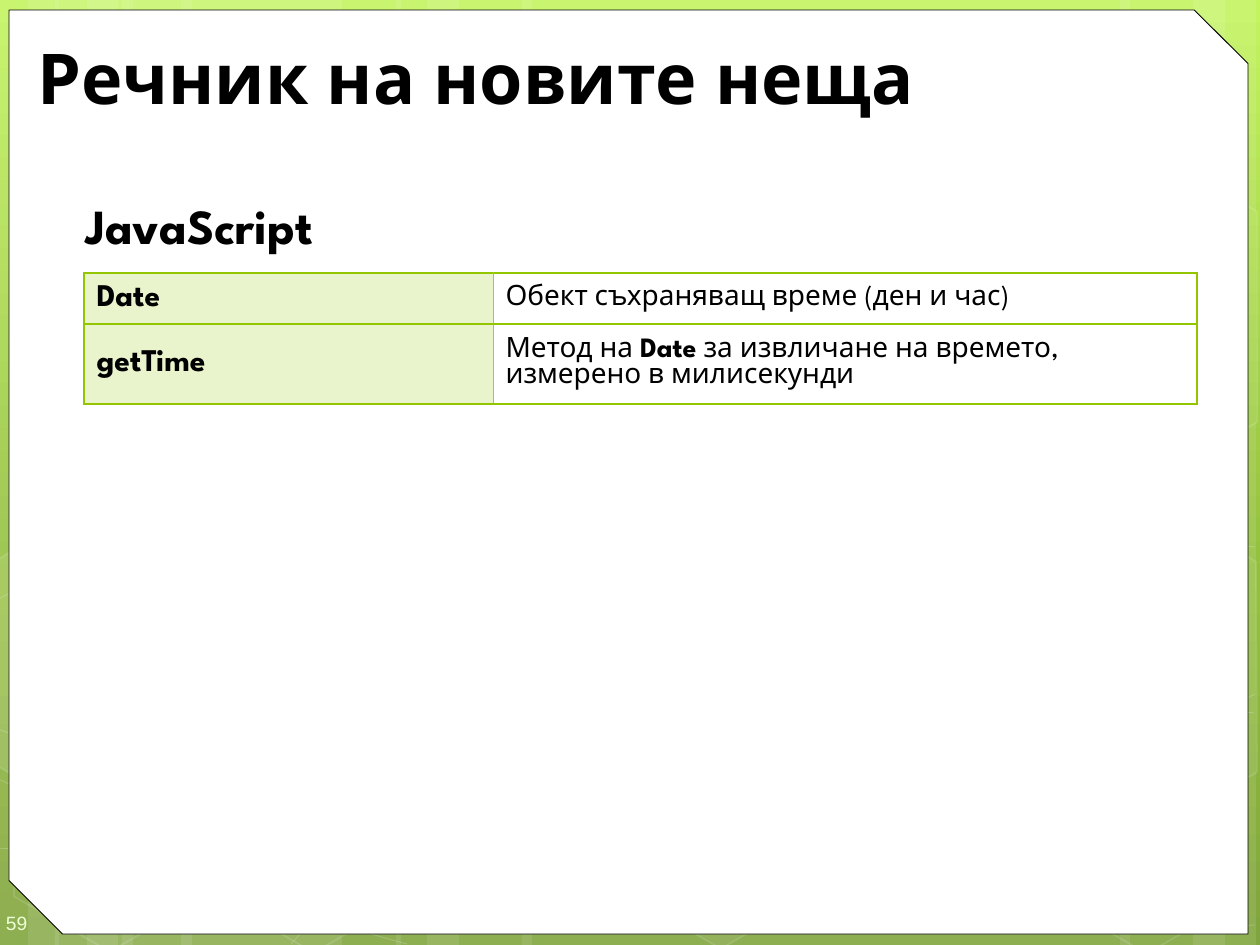
from lxml.etree import SubElement
from copy import deepcopy
from pptx import Presentation
from pptx.dml.color import RGBColor
from pptx.enum.shapes import MSO_SHAPE
from pptx.enum.text import MSO_ANCHOR, PP_ALIGN
from pptx.oxml.ns import qn
from pptx.util import Pt

PX = 914400 / 126
WIDTH, HEIGHT = 1260, 945
WHITE, BLACK, GREEN = "FFFFFF", "000000", "94C600"
FONT = "League Spartan"

BACKDROP = [(0, "C3F35F"), (0.62, "93BF3F"), (1, "81A53E")]
BANDS = [(122, 220), (-4, 63), (28, 105), (181, 220), (55, 63), (87, 105),
         (910, 220), (1193, 63), (1120, 105), (522, 388), (396, 63), (427, 105)]
# Each curve is a start point followed by groups of three Bezier points.
CURVES = [
    [(-5, 848), (63, 852), (131, 856), (226, 854), (320, 853), (436, 850), (563, 838),
     (689, 825), (868, 801), (983, 777), (1102, 753), (1217, 716), (1255, 694)],
    [(-5, 601), (32, 581), (68, 562), (139, 543), (212, 524), (311, 496), (423, 488),
     (536, 479), (672, 478), (810, 488), (949, 498), (1179, 537), (1255, 547)],
    [(-6, 777), (145, 847), (297, 916), (407, 944)],
    [(-5, 728), (34, 742), (74, 756), (147, 776), (220, 795), (330, 827), (435, 848),
     (541, 869), (673, 892), (777, 905), (881, 919), (994, 924), (1060, 927),
     (1126, 932), (1144, 930), (1177, 930), (1208, 929), (1232, 926), (1255, 925)],
    [(291, 944), (314, 919), (336, 893), (367, 871), (397, 848), (440, 823), (474, 805),
     (509, 788), (532, 780), (577, 767), (624, 755), (708, 737), (752, 728),
     (796, 719), (804, 719), (843, 717), (882, 713), (944, 709), (987, 708),
     (1045, 707), (1128, 708), (1186, 708), (1210, 709), (1231, 711), (1254, 713)],
]
# Left, top, fill opacity
HEXAGONS = [(611, 742, 6), (0, 745, None), (204, 746, None), (1037, 747, None)]
# Outline points, fill opacity
CUT_HEXAGONS = [
    ([(-4, 561), (10, 552), (107, 607), (106, 718), (11, 774), (-4, 765)], 10),
    ([(1153, 611), (1247, 556), (1256, 562), (1257, 772), (1249, 777), (1152, 722)], 4),
    ([(1153, 261), (1247, 205), (1257, 212), (1257, 422), (1249, 427), (1152, 372)], None),
]
GLOSSARY = [
    ("Date", [("Обект съхраняващ време (ден и час)", False)]),
    ("getTime", [("Метод на ", False), ("Date", True),
                 (" за извличане на времето, измерено в милисекунди", False)]),
]


def emu(*lengths):
    return [round(length * PX) for length in lengths]


def rgb(color):
    return RGBColor.from_string(color)


def set_alpha(parent, opacity):
    """Make the solid colour inside parent see-through; opacity is in percent."""
    color = parent.find(qn("a:solidFill")).find(qn("a:srgbClr"))
    SubElement(color, qn("a:alpha")).set("val", str(opacity * 1000))


def style_shape(shape, fill=None, opacity=None, line=None, width=1, line_opacity=None):
    shape.shadow.inherit = False
    if fill:
        shape.fill.solid()
        shape.fill.fore_color.rgb = rgb(fill)
        if opacity:
            set_alpha(shape.element.spPr, opacity)
    else:
        shape.fill.background()
    if line:
        shape.line.color.rgb = rgb(line)
        shape.line.width = Pt(width)
        if line_opacity:
            set_alpha(shape.element.spPr.find(qn("a:ln")), line_opacity)
    else:
        shape.line.fill.background()


def add_outline(slide, points, close):
    builder = slide.shapes.build_freeform(*points[0], scale=PX)
    builder.add_line_segments(points[1:], close=close)
    return builder.convert_to_shape()


def add_curve(slide, nodes):
    """Draw an outline through the nodes, then join each three segments into one Bezier."""
    curve = add_outline(slide, nodes, False)
    outline = curve.element.find(".//" + qn("a:path"))
    segments = outline.findall(qn("a:lnTo"))
    for i in range(0, len(segments), 3):
        bezier = SubElement(outline, qn("a:cubicBezTo"))
        for segment in segments[i:i + 3]:
            bezier.append(segment[0])
            outline.remove(segment)
    return curve


def add_backdrop(slide):
    fill = slide.background.fill
    fill.gradient()
    fill.gradient_angle = 270
    stop_list = slide.element.find(".//" + qn("a:gsLst"))
    stop_list.append(deepcopy(stop_list[0]))
    for stop, (position, color) in zip(fill.gradient_stops, BACKDROP):
        stop.position = position
        stop.color.rgb = rgb(color)

    for left, width in BANDS:
        band = slide.shapes.add_shape(MSO_SHAPE.RECTANGLE, *emu(left, 0, width, HEIGHT))
        style_shape(band, WHITE, 10)
    for nodes in CURVES:
        style_shape(add_curve(slide, nodes), line=WHITE, width=0.5, line_opacity=20)
    for left, top, opacity in HEXAGONS:
        hexagon = slide.shapes.add_shape(MSO_SHAPE.HEXAGON, *emu(left, top, 220, 192))
        hexagon.adjustments[0], hexagon.adjustments[1] = 0.285, 1.155
        hexagon.rotation = 30
        style_shape(hexagon, opacity and WHITE, opacity, WHITE, 1, 12)
    for points, opacity in CUT_HEXAGONS:
        style_shape(add_outline(slide, points, True),
                    opacity and WHITE, opacity, WHITE, 1, 12)


def add_panel(slide):
    panel = slide.shapes.add_shape(MSO_SHAPE.SNIP_2_DIAG_RECTANGLE, *emu(9, 10, 1239, 924))
    panel.adjustments[0], panel.adjustments[1] = 0, 0.058
    style_shape(panel, WHITE, line=BLACK, width=0.5)


def write_run(paragraph, text, size, color=BLACK, bold=True, font=FONT):
    run = paragraph.add_run()
    run.text = text
    for name, value in {"size": Pt(size), "bold": bold, "name": font}.items():
        setattr(run.font, name, value)
    run.font.color.rgb = rgb(color)


def add_label(slide, box, text, size, space_before=0, frame_format=None, **style):
    frame = slide.shapes.add_textbox(*emu(*box)).text_frame
    for name, value in {"word_wrap": True, **(frame_format or {})}.items():
        setattr(frame, name, value)
    frame.paragraphs[0].space_before = Pt(space_before)
    write_run(frame.paragraphs[0], text, size, **style)


def place_title(slide, text):
    title = slide.shapes.title
    title.element.getparent().append(title.element)
    for name, value in zip(("left", "top", "width", "height"), emu(25, 32, 1193, 89)):
        setattr(title, name, value)
    title.text_frame.vertical_anchor = MSO_ANCHOR.MIDDLE
    title.text_frame.paragraphs[0].alignment = PP_ALIGN.LEFT
    write_run(title.text_frame.paragraphs[0], text, 40)


def set_borders(cell, borders):
    """Draw cell borders from a dict of side to (colour, points)."""
    properties = cell._tc.get_or_add_tcPr()
    for index, (side, (color, points)) in enumerate(borders.items()):
        line = properties.makeelement(qn(f"a:{side}"), {"w": str(Pt(points))})
        fill = SubElement(line, qn("a:solidFill"))
        SubElement(fill, qn("a:srgbClr")).set("val", color)
        properties.insert(index, line)


def add_glossary(slide):
    row_height = 51
    table = slide.shapes.add_table(
        len(GLOSSARY), 2, *emu(84, 273, 1113, row_height * len(GLOSSARY))).table
    table.first_row = table.horz_banding = False
    for column, width in zip(table.columns, emu(409, 704)):
        column.width = width
    outer, divider = (GREEN, 1), ("A8B888", 0.5)
    for row, (term, meaning) in zip(table.rows, GLOSSARY):
        term_cell, meaning_cell = row.cells
        write_run(term_cell.text_frame.paragraphs[0], term, 18)
        for text, bold in meaning:
            write_run(meaning_cell.text_frame.paragraphs[0], text, 16, bold=bold)
        term_cell.fill.solid()
        term_cell.fill.fore_color.rgb = rgb(GREEN)
        set_alpha(term_cell._tc.tcPr, 20)
        meaning_cell.fill.background()
        for cell, left, right in ((term_cell, outer, divider), (meaning_cell, divider, outer)):
            cell.vertical_anchor = MSO_ANCHOR.MIDDLE
            set_borders(cell, {"lnL": left, "lnR": right, "lnT": outer, "lnB": outer})


def main():
    presentation = Presentation()
    presentation.slide_width, presentation.slide_height = emu(WIDTH, HEIGHT)
    slide = presentation.slides.add_slide(presentation.slide_layouts[5])
    add_backdrop(slide)
    add_panel(slide)
    number_margins = dict(zip(("margin_left", "margin_top", "margin_right", "margin_bottom"),
                              emu(6, 19, 0, 13)))
    add_label(slide, (0, 895, 73, 50), "59", 11, color="EEFFD6", bold=False, font="Arial",
              frame_format={"vertical_anchor": MSO_ANCHOR.MIDDLE, **number_margins})
    place_title(slide, "Речник на новите неща")
    add_label(slide, (73, 189, 1186, 76), "JavaScript", 28, space_before=6)
    add_glossary(slide)
    presentation.save("out.pptx")


if __name__ == "__main__":
    main()
